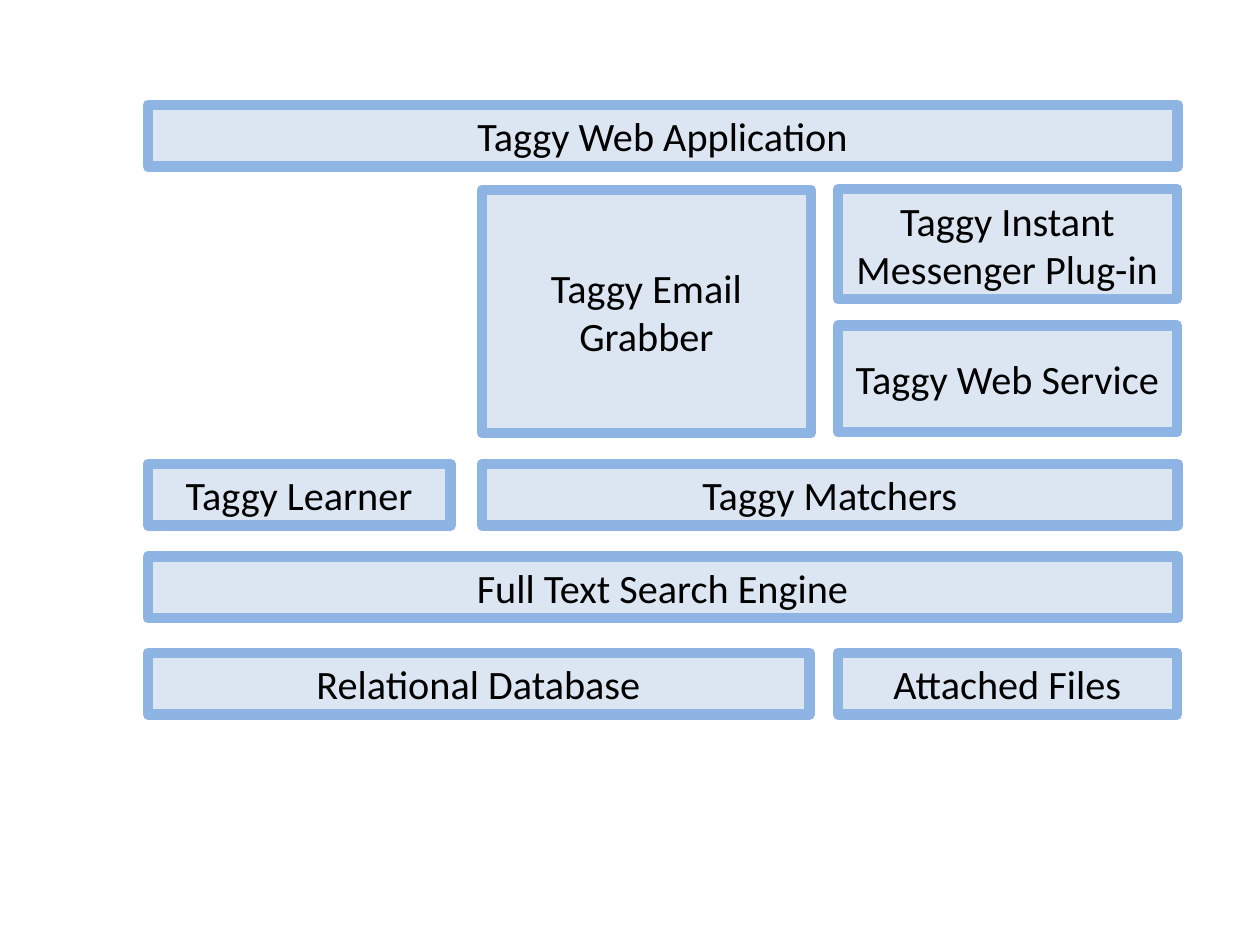
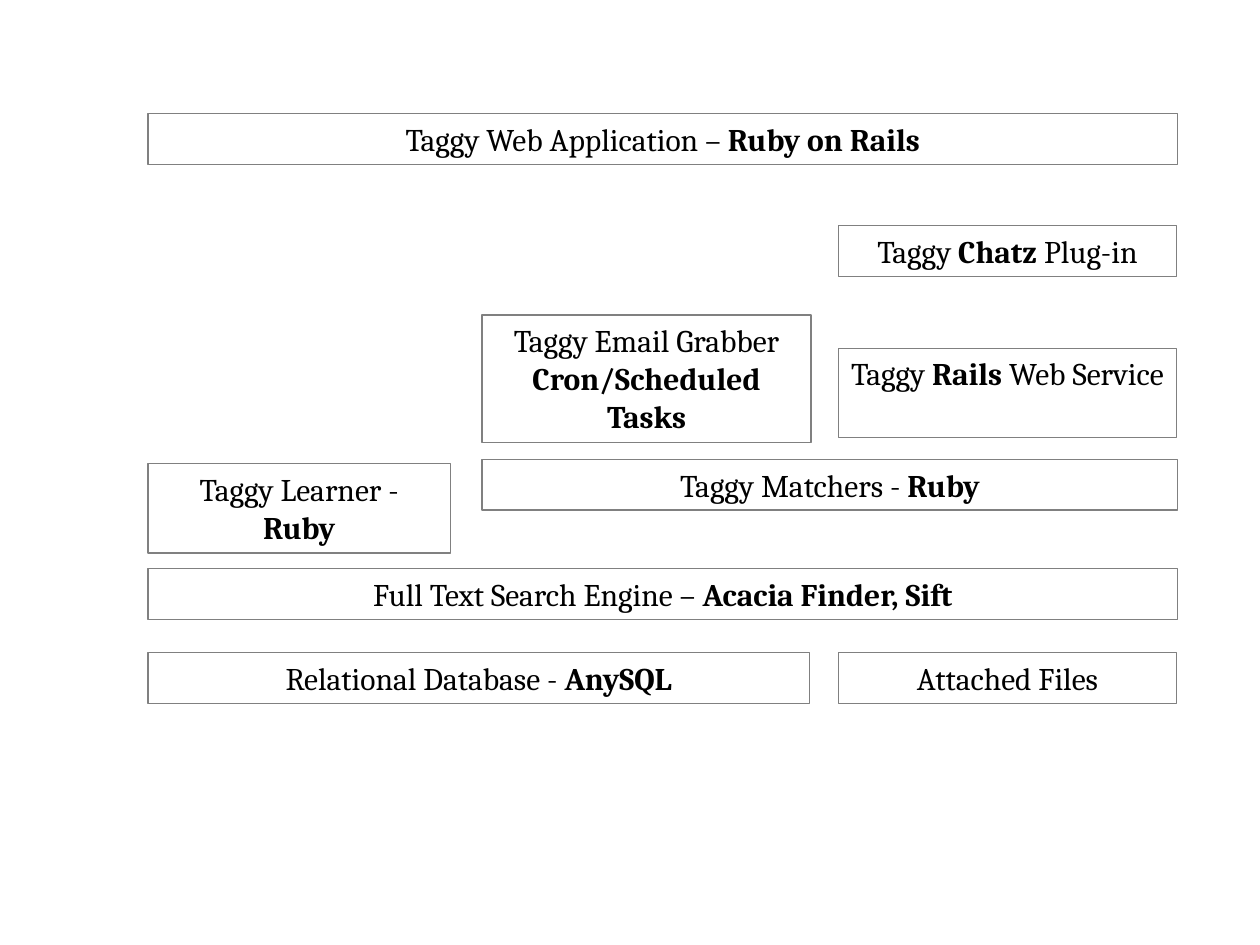
from pptx import Presentation
from pptx.dml.color import RGBColor
from pptx.enum.shapes import MSO_SHAPE
from pptx.enum.text import MSO_ANCHOR, MSO_AUTO_SIZE, PP_ALIGN
from pptx.util import Pt

RECTANGLE = MSO_SHAPE.RECTANGLE
MIDDLE, TOP = MSO_ANCHOR.MIDDLE, MSO_ANCHOR.TOP
GROW = MSO_AUTO_SIZE.SHAPE_TO_FIT_TEXT
CENTER = PP_ALIGN.CENTER

COLUMNS = {
    "all": (84.5, 588.5),
    "left": (84.5, 173),
    "middle": (275.5, 188),
    "right": (479, 193.5),
    "left to middle": (84.5, 378),
    "middle to right": (275.5, 397.5),
}


def color(value):
    return RGBColor.from_string(value)


def add_block(page, style, columns, top, height, text):
    left, width = COLUMNS[columns]
    box = page.shapes.add_shape(RECTANGLE, Pt(left), Pt(top), Pt(width), Pt(height))
    box.shadow.inherit = False
    if style["fill"]:
        box.fill.solid()
        box.fill.fore_color.rgb = color(style["fill"])
    else:
        box.fill.background()
    box.line.color.rgb = color(style["line"])
    box.line.width = Pt(style["weight"])
    frame = box.text_frame
    frame.word_wrap = True
    frame.auto_size = GROW
    frame.vertical_anchor = style["anchor"]
    for index, line in enumerate(text.split("\n")):
        para = frame.add_paragraph() if index else frame.paragraphs[0]
        para.alignment = CENTER
        for part, words in enumerate(line.split("*")):
            if words:
                span = para.add_run()
                span.text = words
                span.font.name = style["font"]
                span.font.size = Pt(style["size"])
                span.font.bold = part % 2 == 1
                span.font.color.rgb = color("000000")


overview_style = {"fill": "DCE6F2", "line": "8EB4E3", "weight": 6,
                  "font": "Calibri", "size": 23, "anchor": MIDDLE}
technology_style = {"fill": None, "line": "808080", "weight": 0.75,
                    "font": "Cambria", "size": 18, "anchor": TOP}

OVERVIEW_ROW = 35.3
TECHNOLOGY_ROW = 29
TECHNOLOGY_DOUBLE = 51

overview_blocks = [
    ("left to middle", 373, OVERVIEW_ROW, "Relational Database"),
    ("all", 318, OVERVIEW_ROW, "Full Text Search Engine"),
    ("left", 265, OVERVIEW_ROW, "Taggy Learner"),
    ("middle to right", 265, OVERVIEW_ROW, "Taggy Matchers"),
    ("all", 60, OVERVIEW_ROW, "Taggy Web Application"),
    ("middle", 108.5, 139, "Taggy Email Grabber"),
    ("right", 108, 63, "Taggy Instant Messenger Plug-in"),
    ("right", 186, 61, "Taggy Web Service"),
    ("right", 373, OVERVIEW_ROW, "Attached Files"),
]

technology_blocks = [
    ("left to middle", 373, TECHNOLOGY_ROW, "Relational Database - *AnySQL*"),
    ("all", 325, TECHNOLOGY_ROW, "Full Text Search Engine – *Acacia Finder, Sift*"),
    ("left", 265, TECHNOLOGY_DOUBLE, "Taggy Learner -* Ruby*"),
    ("middle to right", 262.5, TECHNOLOGY_ROW, "Taggy Matchers -* Ruby*"),
    ("all", 65, TECHNOLOGY_ROW, "Taggy Web Application – *Ruby on Rails*"),
    ("middle", 180, 73, "Taggy Email Grabber\n*Cron/Scheduled Tasks*"),
    ("right", 129, TECHNOLOGY_ROW, "Taggy *Chatz* Plug-in"),
    ("right", 199, TECHNOLOGY_DOUBLE, "Taggy *Rails* Web Service"),
    ("right", 373, TECHNOLOGY_ROW, "Attached Files"),
]

deck = Presentation()
deck.slide_width = Pt(720)
deck.slide_height = Pt(540)
blank = deck.slide_layouts[6]

for style, blocks in ((overview_style, overview_blocks),
                      (technology_style, technology_blocks)):
    page = deck.slides.add_slide(blank)
    for columns, top, height, text in blocks:
        add_block(page, style, columns, top, height, text)

deck.save("out.pptx")
